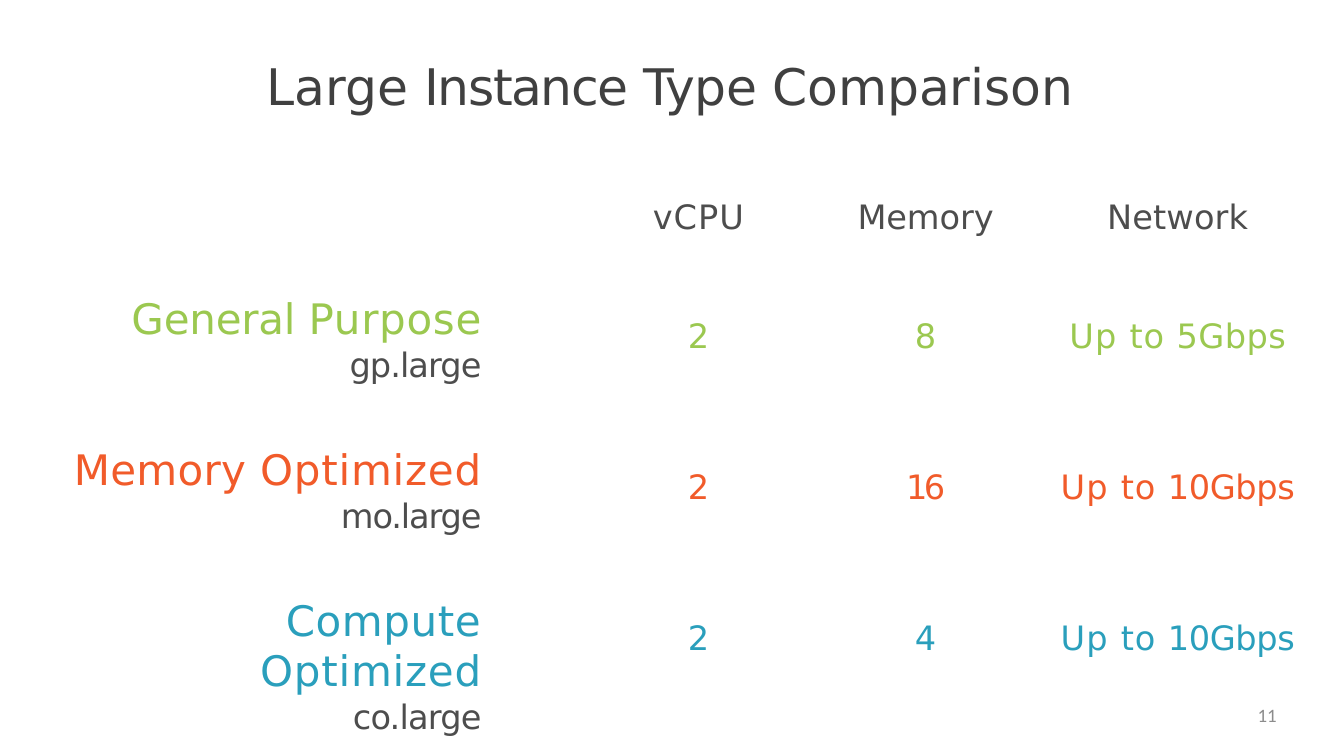
from pptx import Presentation
from pptx.dml.color import RGBColor
from pptx.enum.text import MSO_AUTO_SIZE, PP_ALIGN
from pptx.util import Inches, Pt

LEFT, CENTER, RIGHT = PP_ALIGN.LEFT, PP_ALIGN.CENTER, PP_ALIGN.RIGHT
GROW = MSO_AUTO_SIZE.SHAPE_TO_FIT_TEXT
GREEN, ORANGE, BLUE, GREY = "9BC850", "F15B2A", "2A9FBC", "4D4D4D"
HEADINGS = [[("vCPU", 0.9)], [("Memory", -0.1)], [("Network", 0.1)]]
INSTANCES = [
    (GREEN, [("General ", -0.2), ("Purpose", 0.7)], ("gp.large", -0.9),
     ("2", 0), ("8", 0), ("5Gbps", 0.4)),
    (ORANGE, [("Memory ", 0.3), ("Optimized", 0.8)], ("mo.large", -1.1),
     ("2", 0), ("16", -3.5), ("10Gbps", -0.4)),
    (BLUE, [("Compute ", 0.6), ("Optimized", 0.8)], ("co.large", -0.8),
     ("2", 0), ("4", 0), ("10Gbps", -0.4)),
]
COLUMN_WIDTHS = [2.01, 3, 3.53]
COLUMN_INDENTS = [0, 0.29, 0.43]
COLUMN_RIGHT_MARGINS = [0.71, 0, 0]
ROW_HEIGHTS = [1.08, 1.82, 2, 1.28]
ROW_MARGINS = [0, 0.51, 0.68, 0.68]


def color(value):
    return RGBColor.from_string(value)


def set_values(target, values):
    for name, value in values.items():
        setattr(target, name, value)


class SlideBuilder:
    font = "DejaVu Sans"

    def __init__(self, slide):
        self.slide = slide

    def paragraph(self, paragraph, pieces, size, fill, values, indent=0, font=None):
        set_values(paragraph, values)
        paragraph._p.get_or_add_pPr().set("marL", str(Inches(indent)))
        for text, spacing in pieces:
            run = paragraph.add_run()
            run.text = text
            set_values(run.font, {"name": font or self.font, "size": Pt(size)})
            run.font.color.rgb = color(fill)
            run._r.get_or_add_rPr().set("spc", str(round(spacing * 100)))

    def text_box(self, left, top, width, height, paragraphs):
        shape = self.slide.shapes.add_textbox(
            Inches(left), Inches(top), Inches(width), Inches(height))
        frame = shape.text_frame
        set_values(frame, {
            "word_wrap": True, "auto_size": GROW, "margin_left": 0,
            "margin_right": 0, "margin_top": Inches(0.01), "margin_bottom": 0})
        for index, content in enumerate(paragraphs):
            paragraph = frame.add_paragraph() if index else frame.paragraphs[0]
            self.paragraph(paragraph, **content)

    def table(self, left, top, rows, fills):
        shape = self.slide.shapes.add_table(
            len(rows), len(COLUMN_WIDTHS), Inches(left), Inches(top),
            Inches(sum(COLUMN_WIDTHS)), Inches(sum(ROW_HEIGHTS)))
        table = shape.table
        set_values(table, {"first_row": False, "horz_banding": False})
        for column, width in zip(table.columns, COLUMN_WIDTHS):
            column.width = Inches(width)
        for row_index, pieces_in_row in enumerate(rows):
            table.rows[row_index].height = Inches(ROW_HEIGHTS[row_index])
            for column_index, pieces in enumerate(pieces_in_row):
                cell = table.cell(row_index, column_index)
                cell.fill.background()
                set_values(cell, {
                    "margin_left": 0, "margin_bottom": 0,
                    "margin_right": Inches(COLUMN_RIGHT_MARGINS[column_index]),
                    "margin_top": Inches(ROW_MARGINS[row_index])})
                values = {"alignment": CENTER}
                if row_index == 0:
                    values["line_spacing"] = Pt(38)
                self.paragraph(cell.text_frame.paragraphs[0], pieces, 32,
                               fills[row_index], values, COLUMN_INDENTS[column_index])


def main():
    presentation = Presentation()
    set_values(presentation, {"slide_width": Inches(17.78), "slide_height": Inches(10)})
    slide = presentation.slides.add_slide(presentation.slide_layouts[6])
    builder = SlideBuilder(slide)

    title = [("Large ", 0.1), ("Instance ", -1.4), ("Type ", -0.6), ("Comparison", -0.1)]
    builder.text_box(3.49, 0.72, 10.79, 0.83, [
        {"pieces": title, "size": 48, "fill": "404040",
         "values": {"alignment": LEFT}, "indent": 0.03}])

    labels = []
    rows = [HEADINGS]
    for index, (fill, family, model, cpu, memory, network) in enumerate(INSTANCES):
        gap = Pt(56 if index else 1)
        labels.append({"pieces": family, "size": 40, "fill": fill, "indent": 0.2,
                       "values": {"alignment": RIGHT, "space_before": gap}})
        labels.append({"pieces": [model], "size": 32, "fill": GREY,
                       "values": {"alignment": RIGHT, "space_before": Pt(1.2)}})
        rows.append([[cpu], [memory], [("Up ", 1.1), ("to ", 0.8), network]])
    builder.text_box(0.64, 3.86, 5.73, 5.24, labels)
    builder.table(8.59, 2.61, rows, [GREY, GREEN, ORANGE, BLUE])

    builder.text_box(12.8, 9.3, 4.09, 0.5, [
        {"pieces": [("11", 0)], "size": 18, "fill": "8C8C8C",
         "values": {"alignment": RIGHT}, "font": "Calibri"}])
    presentation.save("out.pptx")


if __name__ == "__main__":
    main()
